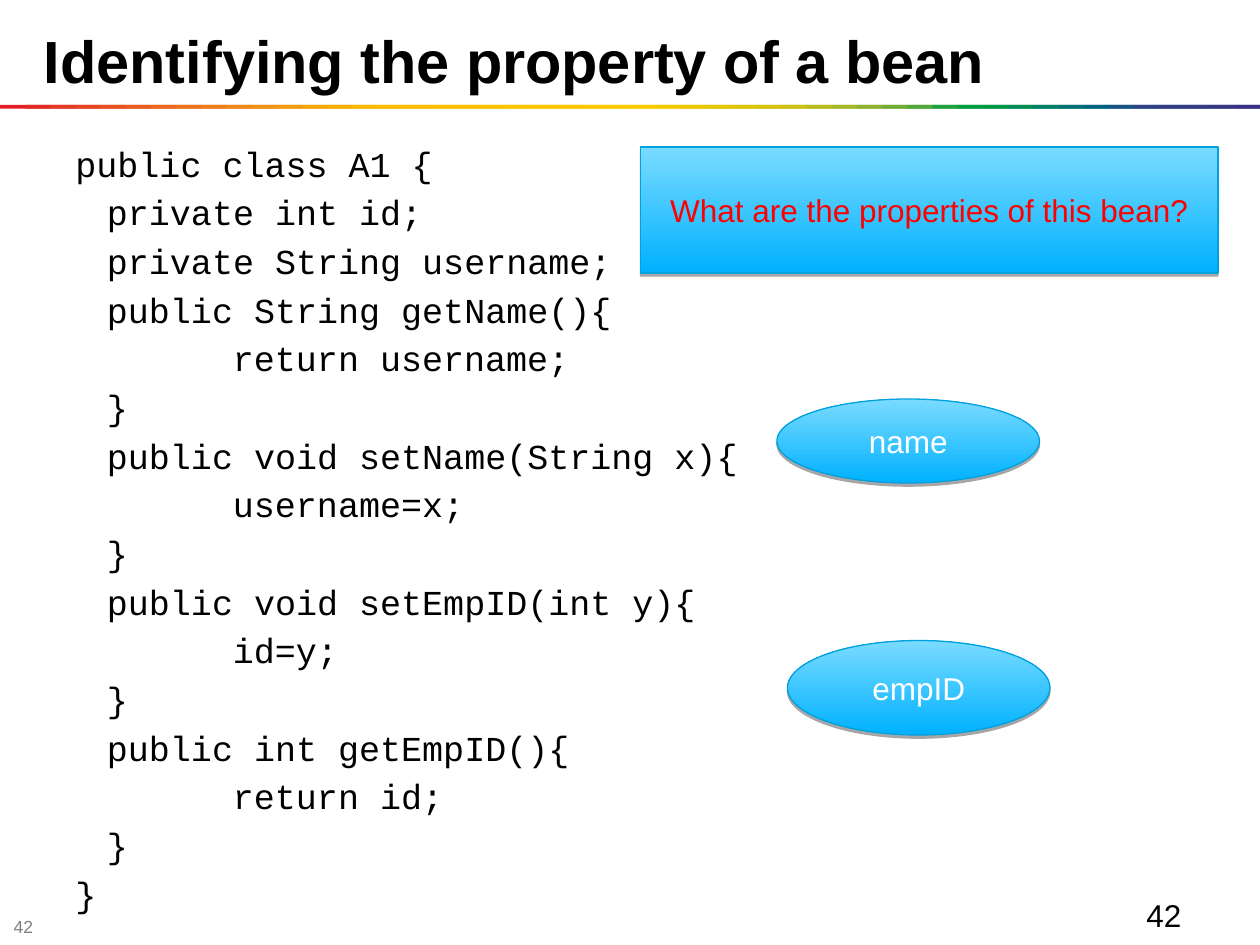
"""Build the slide on identifying the properties of a bean."""
from lxml.etree import SubElement
from pptx import Presentation
from pptx.dml.color import RGBColor as Rgb
from pptx.enum.shapes import MSO_SHAPE as Preset
from pptx.enum.text import MSO_ANCHOR as Anchor, PP_ALIGN as Align
from pptx.oxml.ns import qn
from pptx.util import Inches, Pt

BLACK = Rgb(0x00, 0x00, 0x00)
WHITE = Rgb(0xFF, 0xFF, 0xFF)
RED = Rgb(0xFF, 0x00, 0x00)
GREY = Rgb(0x7F, 0x7F, 0x7F)
DEEP_BLUE = Rgb(0x00, 0xB1, 0xFF)
PALE_BLUE = Rgb(0x7A, 0xDB, 0xFF)
EDGE_BLUE = Rgb(0x00, 0xA1, 0xDF)
RAINBOW = [Rgb.from_string(code) for code in """
    E31E24 E42C24 E53A24 E74623 E85122 EA5D21 EC691F EE741D EF7E1A F18817
    F39314 F49C0F F6A607 F8B002 FBBA00 FBBB00 FBBD00 FCBF00 FCC000 FCC200
    FDC400 FDC600 FDC700 FEC900 FECB00 FBCB00 F3CA00 ECC800 E4C602 DCC50A
    D5C30E CCC117 B8BC21 A3B829 8CB230 71AD36 51A73B 1DA240 009D43 009846
    008C57 008068 007275 00637F 185384 2E4285 313E85 333B85 353885 393185
""".split()]

COLUMNS, ROWS = 120, 90
TEXT = {"name": "Arial", "size": Pt(18), "bold": False}
TITLE = {"name": "Arial", "size": Pt(34), "bold": True}
FOOTER = {"name": "Arial", "size": Pt(10), "bold": False}
CODE = {"name": "Courier New", "size": Pt(20), "bold": False}

deck = Presentation()
deck.slide_width, deck.slide_height = Inches(10), Inches(7.5)
slide = deck.slides.add_slide(deck.slide_layouts[6])


def grid(column, row, columns, rows):
    width, height = deck.slide_width / COLUMNS, deck.slide_height / ROWS
    return [round(n * unit) for n, unit in
            ((column, width), (row, height), (columns, width), (rows, height))]


def write(paragraph, words, values, colour):
    paragraph.text = words
    font = paragraph.runs[0].font
    for key, value in values.items():
        setattr(font, key, value)
    font.color.rgb = colour


step = COLUMNS / len(RAINBOW)
for index, colour in enumerate(RAINBOW):
    start = index * step
    band = slide.shapes.add_shape(
        Preset.RECTANGLE, *grid(start, 10, min(2 * step, COLUMNS - start), 0.36))
    band.shadow.inherit = False
    band.fill.solid()
    band.fill.fore_color.rgb = colour
    band.line.fill.background()

for words, cells, values, colour, anchor in (
    ("42", (0.12, 87.24, 4.68, 1.92), FOOTER, GREY, Anchor.MIDDLE),
    ("Identifying the property of a bean", (3, 1.68, 111, 8), TITLE, BLACK, Anchor.TOP),
    ("42", (108, 84.72, 11.5, 4.2), TEXT, BLACK, Anchor.TOP),
):
    frame = slide.shapes.add_textbox(*grid(*cells)).text_frame
    frame.word_wrap = True
    frame.vertical_anchor = anchor
    write(frame.paragraphs[0], words, values, colour)

listing = slide.shapes.add_textbox(*grid(6, 13.4, 111, 74)).text_frame
listing.word_wrap = True
indents = (0, 3, 15)
for number, (level, words) in enumerate((
    (0, "public class A1 {"),
    (1, "private int id;"),
    (1, "private String username;"),
    (1, "public String getName(){"),
    (2, "return username;"),
    (1, "}"),
    (1, "public void setName(String x){"),
    (2, "username=x;"),
    (1, "}"),
    (1, "public void setEmpID(int y){"),
    (2, "id=y;"),
    (1, "}"),
    (1, "public int getEmpID(){"),
    (2, "return id;"),
    (1, "}"),
    (0, "}"),
)):
    statement = listing.add_paragraph() if number else listing.paragraphs[0]
    statement.line_spacing = 0.9
    if number:
        statement.space_before = Pt(6.2)
    margin = grid(indents[level], 0, 0, 0)[0]
    statement._p.get_or_add_pPr().set("marL", str(margin))
    write(statement, words, CODE, BLACK)

for words, preset, cells, colour in (
    ("What are the properties of this bean?", Preset.RECTANGLE, (61, 14, 55, 12), RED),
    ("name", Preset.OVAL, (74, 38, 25, 8), WHITE),
    ("empID", Preset.OVAL, (75, 61, 25, 9), WHITE),
):
    callout = slide.shapes.add_shape(preset, *grid(*cells))
    callout.fill.gradient()
    callout.fill.gradient_angle = 90
    for stop, shade in zip(callout.fill.gradient_stops, (DEEP_BLUE, PALE_BLUE)):
        stop.color.rgb = shade
    callout.line.color.rgb = EDGE_BLUE
    callout.line.width = Pt(0.75)
    callout.shadow.inherit = False
    effects = callout._element.spPr.find(qn("a:effectLst"))
    cast = SubElement(effects, qn("a:outerShdw"), dist=str(Pt(1.8)),
                      dir="5400000", rotWithShape="0")
    tint = SubElement(cast, qn("a:srgbClr"), val=str(BLACK))
    SubElement(tint, qn("a:alpha"), val="35000")
    frame = callout.text_frame
    frame.word_wrap = True
    frame.vertical_anchor = Anchor.MIDDLE
    frame.paragraphs[0].alignment = Align.CENTER
    write(frame.paragraphs[0], words, TEXT, colour)

deck.save("out.pptx")
